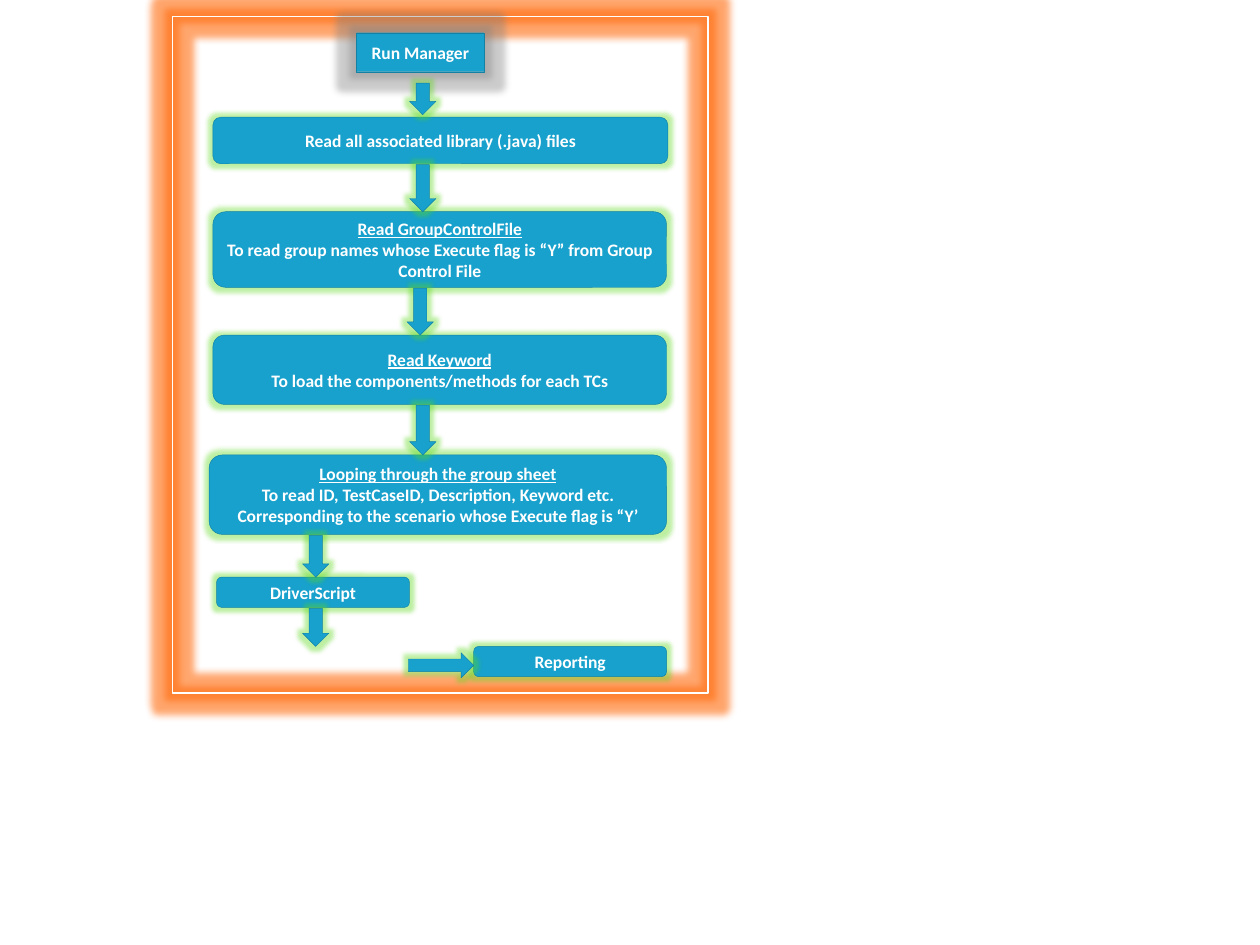
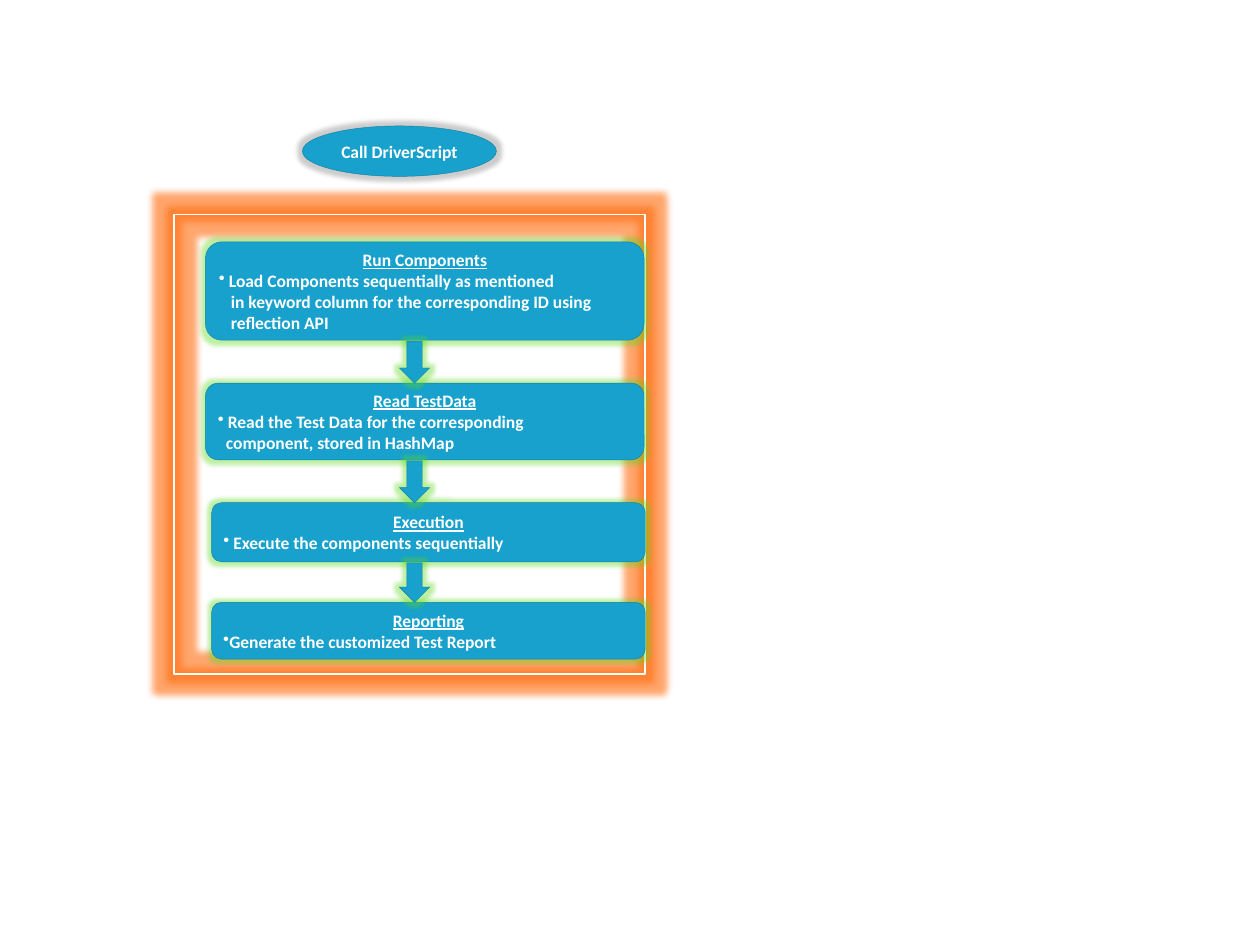
from dataclasses import dataclass

from lxml.etree import SubElement
from pptx import Presentation
from pptx.dml.color import RGBColor
from pptx.enum.shapes import MSO_SHAPE
from pptx.enum.text import MSO_ANCHOR, PP_ALIGN
from pptx.oxml.ns import qn
from pptx.util import Pt


@dataclass(frozen=True)
class Theme:
    font: str = "Calibri"
    text_size: float = 10
    text: str = "FFFFFF"
    fill: str = "17A1CC"
    outline: str = "1281A3"
    frame_line: str = "FFFFFF"
    # Glows: colour, radius in points, opacity in percent
    frame_glow: tuple = ("FF6B0D", 8, 60)
    step_glow: tuple = ("5BD91A", 5, 40)
    start_glow: tuple = ("808080", 8, 40)
    call_glow: tuple = ("808080", 5, 40)


THEME = Theme()

# Boxes: left, top, width, height in points, then heading and body lines.
# A body line is centred text, or (text, left margin, has bullet).
RUN_MANAGER = {
    "frame": (98.6, 9.4, 306, 386.6),
    "start": ("Run Manager", MSO_SHAPE.RECTANGLE, (203.8, 18.7, 72.7, 22.3), THEME.start_glow),
    "steps": [
        ((121.7, 67, 260, 26.6), "", ["Read all associated library (.java) files"]),
        ((121.7, 121, 259.2, 43.2), "Read GroupControlFile",
         ["To read group names whose Execute flag is “Y” from Group Control File"]),
        ((121.7, 191.5, 259.2, 39.6), "Read Keyword",
         ["To load the components/methods for each TCs"]),
        ((119.5, 260, 261.4, 45.4), "Looping through the group sheet",
         ["To read ID, TestCaseID, Description, Keyword etc. "
          "Corresponding to the scenario whose Execute flag is “Y’"]),
        ((123.8, 329.8, 110.2, 17.3), "", ["DriverScript"]),
        ((270.7, 369.4, 110.2, 17.3), "", ["Reporting"]),
    ],
    "arrow_width": 15.1,
    "arrow_centres": [241.6, 240.1, 241.6, 180.4, 180.4],
}
DRIVER_SCRIPT = {
    "frame": (99.4, 122.4, 269.3, 262.8),
    "start": ("Call DriverScript", MSO_SHAPE.OVAL, (172.8, 72, 110.9, 28.8), THEME.call_glow),
    "steps": [
        ((117.4, 138.2, 250.6, 56.2), "Run Components",
         [("Load Components sequentially as mentioned", 5.7, True),
          ("in keyword column for the corresponding ID using", 6.8, False),
          ("reflection API", 6.8, False)]),
        ((117.4, 218.9, 250.6, 43.9), "Read TestData",
         [("Read the Test Data for the corresponding", 5.7, True),
          ("component, stored in HashMap", 4.6, False)]),
        ((121, 287.3, 247.7, 33.8), "Execution",
         [("Execute the components sequentially", 5.7, True)]),
        ((121, 344.2, 247.7, 32.4), "Reporting",
         [("Generate the customized Test Report", 3.5, True)]),
    ],
    "arrow_width": 17.3,
    "arrow_centres": [236.9] * 3,
}
START_ARROW = (234, 47.5, 15.1, 18)
REPORT_ARROW = (233.3, 373, 37.4, 14.4)


def add_glowing_shape(slide, kind, box, glow, filled=True):
    shape = slide.shapes.add_shape(kind, *(Pt(value) for value in box))
    if filled:
        shape.fill.solid()
        shape.fill.fore_color.rgb = RGBColor.from_string(THEME.fill)
    else:
        shape.fill.background()
    shape.line.color.rgb = RGBColor.from_string(THEME.outline if filled else THEME.frame_line)
    shape.line.width = Pt(0.25 if filled else 0.75)
    shape.shadow.inherit = False
    colour, radius, opacity = glow
    effects = shape._element.spPr.find(qn("a:effectLst"))
    glow_element = SubElement(effects, qn("a:glow"), rad=str(Pt(radius)))
    colour_element = SubElement(glow_element, qn("a:srgbClr"), val=colour)
    SubElement(colour_element, qn("a:alpha"), val=str(opacity * 1000))
    return shape


def write_line(paragraph, text, underline=False, align=PP_ALIGN.CENTER, margin=0, bullet=False):
    paragraph.alignment = align
    run = paragraph.add_run()
    run.text = text
    run.font.name = THEME.font
    run.font.size = Pt(THEME.text_size)
    run.font.bold = True
    run.font.underline = underline
    run.font.color.rgb = RGBColor.from_string(THEME.text)
    properties = paragraph._p.get_or_add_pPr()
    properties.set("marL", str(Pt(margin)))
    properties.set("indent", str(-Pt(margin) if bullet else 0))
    if bullet:
        SubElement(properties, qn("a:buChar"), char="•")


def add_box(slide, kind, box, glow, heading, lines):
    shape = add_glowing_shape(slide, kind, box, glow)
    frame = shape.text_frame
    frame.word_wrap = True
    frame.vertical_anchor = MSO_ANCHOR.MIDDLE
    frame.margin_left = frame.margin_right = Pt(5)
    frame.margin_top = frame.margin_bottom = Pt(2.7)
    formats = [(heading, {"underline": True})] if heading else []
    for line in lines:
        if isinstance(line, str):
            formats.append((line, {}))
        else:
            text, margin, bullet = line
            formats.append((text, {"align": PP_ALIGN.LEFT, "margin": margin, "bullet": bullet}))
    for index, (text, options) in enumerate(formats):
        paragraph = frame.add_paragraph() if index else frame.paragraphs[0]
        write_line(paragraph, text, **options)


def add_flow(presentation, flow):
    slide = presentation.slides.add_slide(presentation.slide_layouts[6])
    add_glowing_shape(slide, MSO_SHAPE.RECTANGLE, flow["frame"], THEME.frame_glow, filled=False)
    steps = flow["steps"]
    for box, heading, lines in steps:
        add_box(slide, MSO_SHAPE.ROUNDED_RECTANGLE, box, THEME.step_glow, heading, lines)
    text, kind, box, glow = flow["start"]
    add_box(slide, kind, box, glow, "", [text])

    # Each arrow fills the gap between two steps
    width = flow["arrow_width"]
    for centre, upper, lower in zip(flow["arrow_centres"], steps, steps[1:]):
        top = upper[0][1] + upper[0][3] + 0.5
        arrow_box = (centre - width / 2, top, width, lower[0][1] - top)
        add_glowing_shape(slide, MSO_SHAPE.DOWN_ARROW, arrow_box, THEME.step_glow)
    return slide


def main():
    presentation = Presentation()
    presentation.slide_width, presentation.slide_height = Pt(720), Pt(540)
    manager_slide = add_flow(presentation, RUN_MANAGER)
    add_glowing_shape(manager_slide, MSO_SHAPE.RIGHT_ARROW, REPORT_ARROW, THEME.step_glow)
    add_glowing_shape(manager_slide, MSO_SHAPE.DOWN_ARROW, START_ARROW, THEME.step_glow)
    add_flow(presentation, DRIVER_SCRIPT)
    presentation.save("out.pptx")


if __name__ == "__main__":
    main()
